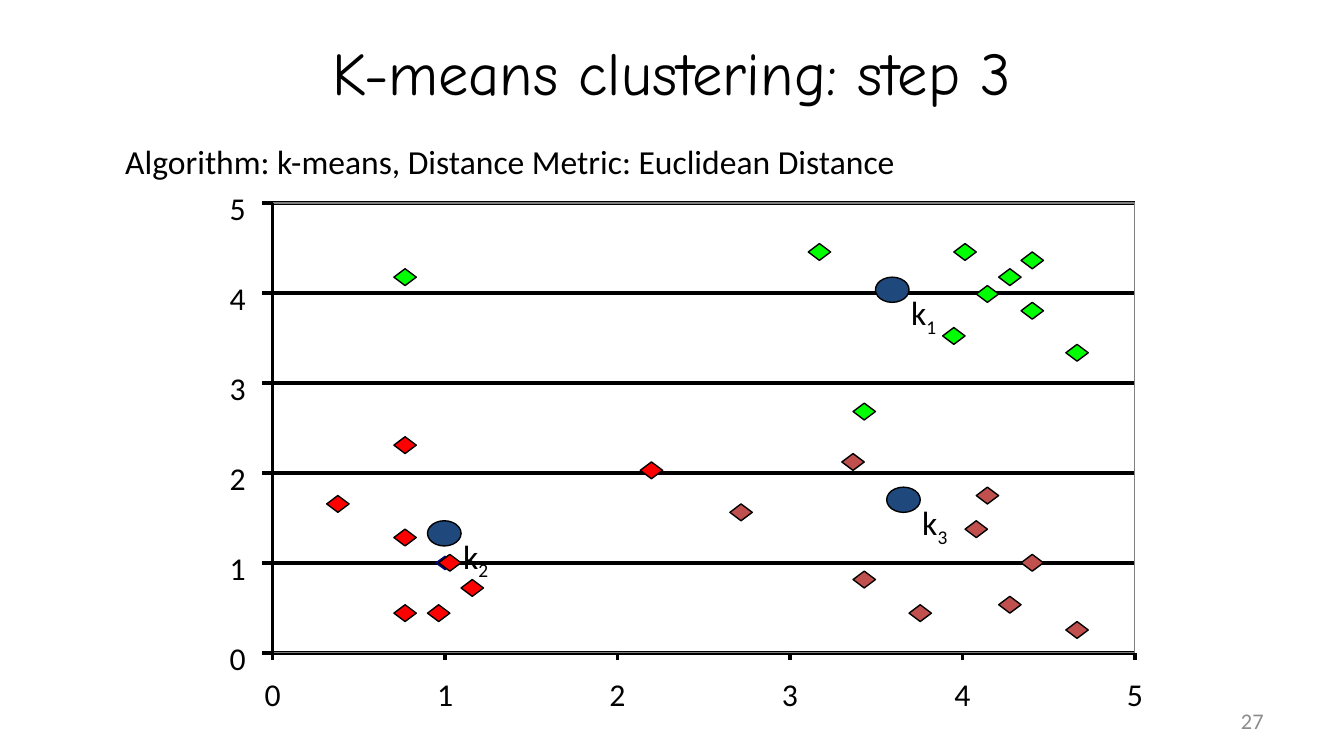
from dataclasses import dataclass

from lxml import etree
from pptx import Presentation
from pptx.dml.color import RGBColor
from pptx.enum import shapes, text
from pptx.oxml.ns import qn
from pptx.util import Pt


@dataclass(frozen=True)
class Theme:
    title_font: str = "Comic Neue"
    body_font: str = "Calibri"
    title_size: float = 32.4
    body_size: float = 18
    tick_size: float = 17
    number_size: float = 12
    ink: str = "000000"
    frame: str = "808080"
    muted: str = "8C8C8C"
    centroid: str = "1F497D"
    data_point: str = "000080"
    green: str = "00FF00"
    red: str = "FF0000"
    brick: str = "C0504D"


THEME = Theme()
PLOT_BOX = (146, 108.8, 462, 241)
AXIS_MAX = 5
TICK_LENGTH = 5.5

# Markers sit on a fine grid that starts just outside the plot's top left corner.
CELL_WIDTH, CELL_HEIGHT = 6, 4.5
GRID_INSET = (1, 0.8)
MARKER_SIZE = (2 * CELL_WIDTH, 2 * CELL_HEIGHT)
CENTROID_SIZE = (3 * CELL_WIDTH, 3 * CELL_HEIGHT)

# (column, row) of each top left corner on that grid
CENTROIDS = {"1": (54, 9), "2": (14, 38), "3": (55, 34)}
CLUSTERS = {
    THEME.red: [(15, 42), (17, 45), (14, 48), (11, 39), (11, 28), (11, 48),
                (5, 35), (33, 31)],
    THEME.green: [(11, 8), (61, 5), (67, 6), (65, 8), (63, 10), (67, 12),
                  (71, 17), (48, 5), (52, 24), (60, 15)],
    THEME.brick: [(52, 44), (57, 48), (62, 38), (51, 30), (41, 36), (67, 42),
                  (65, 47), (63, 34), (71, 50)],
}


def color(value):
    return RGBColor.from_string(value)


def points(box):
    return [Pt(length) for length in box]


def style_font(paragraph, size, name=THEME.body_font, ink=THEME.ink):
    paragraph.font.name = name
    paragraph.font.size = Pt(size)
    paragraph.font.color.rgb = color(ink)


def add_label(parent, box, words, size, ink=THEME.ink, wrap=False, inset=None):
    """Add a one-paragraph text box and return its shape."""
    label = parent.add_textbox(*points(box))
    frame = label.text_frame
    frame.word_wrap = wrap
    if inset is not None:
        frame.margin_left = frame.margin_right = Pt(inset)
        frame.margin_top = frame.margin_bottom = Pt(inset)
    paragraph = frame.paragraphs[0]
    paragraph.add_run().text = words
    style_font(paragraph, size, ink=ink)
    return label


def add_shape(parent, kind, box, fill, line=THEME.ink, line_width=0.75):
    shape = parent.add_shape(kind, *points(box))
    shape.shadow.inherit = False
    if fill:
        shape.fill.solid()
        shape.fill.fore_color.rgb = color(fill)
    else:
        shape.fill.background()
    shape.line.color.rgb = color(line)
    shape.line.width = Pt(line_width)
    return shape


def add_line(slide, x1, y1, x2, y2):
    line = slide.shapes.add_connector(
        shapes.MSO_CONNECTOR.STRAIGHT, *points((x1, y1, x2, y2)))
    line.line.color.rgb = color(THEME.ink)
    line.line.width = Pt(0)
    properties = line._element.find(qn("p:spPr"))
    etree.SubElement(properties, qn("a:effectLst"))


def add_title(slide, box, words):
    title = slide.shapes.title
    title.left, title.top, title.width, title.height = points(box)
    title.text_frame.text = words
    title.text_frame.auto_size = text.MSO_AUTO_SIZE.NONE
    title.text_frame.vertical_anchor = text.MSO_ANCHOR.MIDDLE
    paragraph = title.text_frame.paragraphs[0]
    paragraph.alignment = text.PP_ALIGN.CENTER
    style_font(paragraph, THEME.title_size, THEME.title_font)


def add_axes(slide, box):
    """Draw grid lines, frame, ticks and tick labels around the plot box."""
    left, top, width, height = box
    right, bottom = left + width, top + height
    label_width, label_height = 8.6, 21
    for value in range(AXIS_MAX + 1):
        y = bottom - value * height / AXIS_MAX
        add_line(slide, left, y, right, y)
    add_shape(slide.shapes, shapes.MSO_SHAPE.RECTANGLE, box, None, THEME.frame, 0.63)
    add_line(slide, left, top, left, bottom)
    for value in range(AXIS_MAX + 1):
        x = left + value * width / AXIS_MAX
        y = bottom - value * height / AXIS_MAX
        add_line(slide, left - TICK_LENGTH, y, left, y)
        add_line(slide, x, bottom + TICK_LENGTH - 1.5, x, bottom)
        for label_left, label_top in ((left - 23, y - 7.5),
                                      (x - label_width / 2, bottom + 11.7)):
            add_label(slide.shapes, (label_left, label_top, label_width, label_height),
                      str(value), THEME.tick_size, inset=0)


def add_centroid(slide, left, top, number):
    group = slide.shapes.add_group_shape().shapes
    add_shape(group, shapes.MSO_SHAPE.OVAL, (left, top, *CENTROID_SIZE), THEME.centroid)
    label = add_label(group, (left + 2 * CELL_WIDTH, top + CELL_HEIGHT, 42, 29),
                      "k", THEME.body_size, wrap=True)
    subscript = label.text_frame.paragraphs[0].add_run()
    subscript.text = number
    subscript._r.get_or_add_rPr().set("baseline", "-25000")


def add_scatter_plot(slide, box):
    left, top, width, height = box

    def corner(column, row):
        return (left - GRID_INSET[0] + column * CELL_WIDTH,
                top - GRID_INSET[1] + row * CELL_HEIGHT)

    add_axes(slide, box)
    diamond = shapes.MSO_SHAPE.DIAMOND
    point_x, point_y = left + width / AXIS_MAX, top + height - height / AXIS_MAX
    add_shape(slide.shapes, diamond, (point_x - 5, point_y - 3.6, 10, 7.2),
              THEME.data_point, THEME.data_point, 0.63)
    for number, cell in CENTROIDS.items():
        add_centroid(slide, *corner(*cell), number)
    for fill, cells in CLUSTERS.items():
        for cell in cells:
            add_shape(slide.shapes, diamond, (*corner(*cell), *MARKER_SIZE), fill)


def add_slide_number(slide, box, number):
    label = add_label(slide.shapes, box, number, THEME.number_size, THEME.muted, wrap=True)
    label.text_frame.vertical_anchor = text.MSO_ANCHOR.MIDDLE
    label.text_frame.paragraphs[0].alignment = text.PP_ALIGN.RIGHT


def main():
    presentation = Presentation()
    presentation.slide_width, presentation.slide_height = Pt(720), Pt(405)
    slide = presentation.slides.add_slide(presentation.slide_layouts[5])
    add_title(slide, (54, 22.5, 612, 31.5), "K-means clustering: step 3")
    add_label(slide.shapes, (60, 72, 432.7, 29),
              "Algorithm: k-means, Distance Metric: Euclidean Distance", THEME.body_size)
    add_scatter_plot(slide, PLOT_BOX)
    add_slide_number(slide, (516, 375, 168, 21.5), "27")
    presentation.save("out.pptx")


if __name__ == "__main__":
    main()
